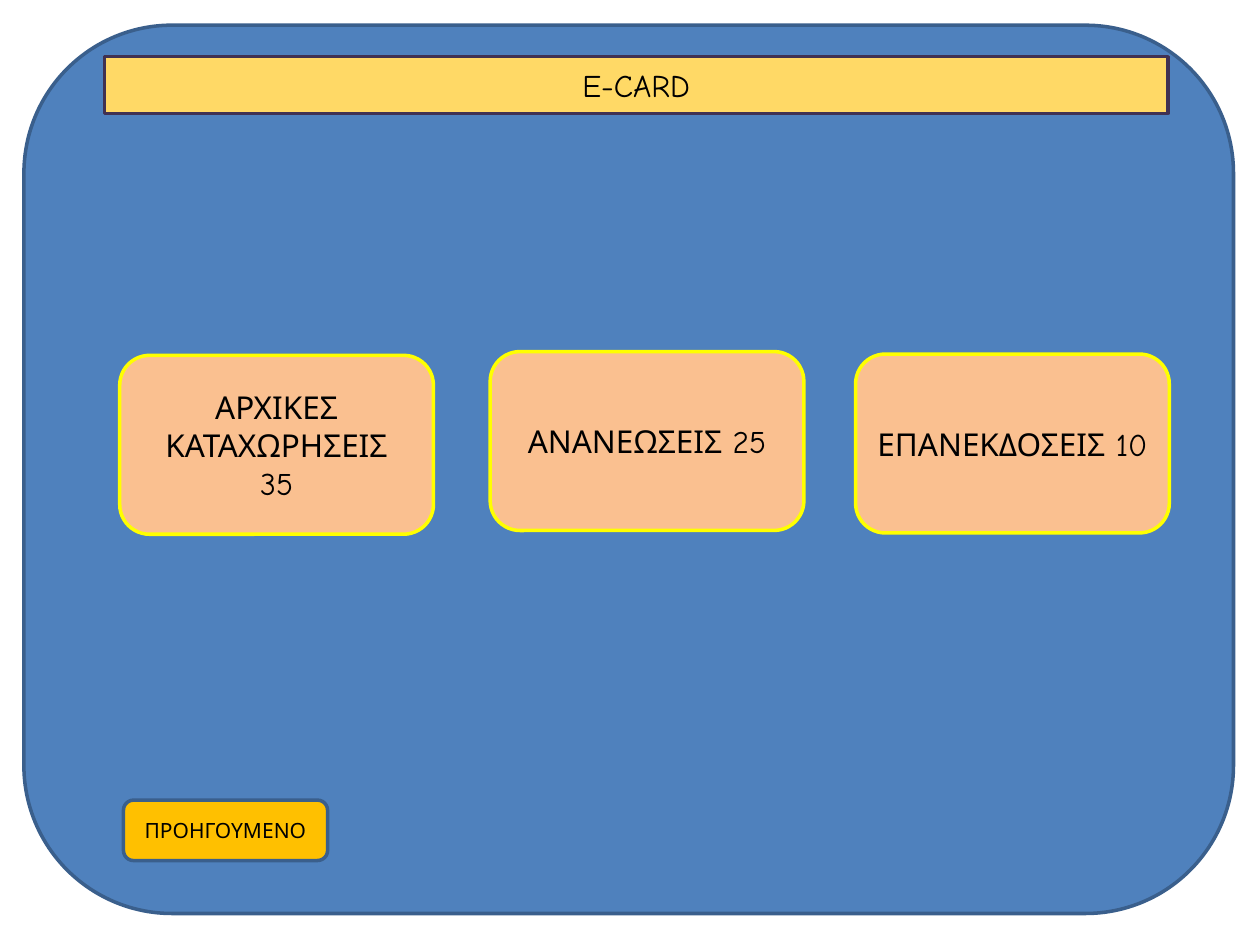
from dataclasses import dataclass

from pptx import Presentation
from pptx.dml.color import RGBColor
from pptx.enum.shapes import MSO_SHAPE
from pptx.enum.text import MSO_ANCHOR, PP_ALIGN
from pptx.shapes.autoshape import Shape
from pptx.slide import Slide
from pptx.util import Inches, Pt


@dataclass(frozen=True)
class Theme:
    font: str = "Comic Neue"
    text: str = "000000"
    panel: str = "4F81BD"
    panel_line: str = "3A5F8C"
    card: str = "FAC090"
    card_line: str = "FFFF00"
    title: str = "FFD966"
    title_line: str = "403152"
    button: str = "FFC000"
    body_size: int = 18
    button_size: int = 12
    line_width: int = 2


@dataclass(frozen=True)
class Box:
    left: float
    top: float
    width: float
    height: float
    fill: str
    line: str
    lines: tuple[str, ...] = ()
    size: int = 18
    kind: MSO_SHAPE = MSO_SHAPE.ROUNDED_RECTANGLE


THEME = Theme()
CARD_WIDTH, CARD_HEIGHT = 2.49, 1.42


def card(left: float, top: float, *lines: str) -> Box:
    return Box(left, top, CARD_WIDTH, CARD_HEIGHT, THEME.card,
               THEME.card_line, lines, THEME.body_size)


BOXES = (
    Box(0.19, 0.2, 9.6, 7.05, THEME.panel, THEME.panel_line),
    card(0.95, 2.82, "ΑΡΧΙΚΕΣ ΚΑΤΑΧΩΡΗΣΕΙΣ", "35"),
    Box(0.83, 0.45, 8.44, 0.45, THEME.title, THEME.title_line,
        ("E-CARD",), THEME.body_size, MSO_SHAPE.RECTANGLE),
    Box(0.98, 6.35, 1.62, 0.48, THEME.button, THEME.panel_line,
        ("ΠΡΟΗΓΟΥΜΕΝΟ",), THEME.button_size),
    card(3.89, 2.79, "ΑΝΑΝΕΩΣΕΙΣ 25"),
    card(6.79, 2.81, "ΕΠΑΝΕΚΔΟΣΕΙΣ 10"),
)


def write_lines(sp: Shape, box: Box) -> None:
    tf = sp.text_frame
    tf.word_wrap = True
    tf.vertical_anchor = MSO_ANCHOR.MIDDLE
    font_format = {"name": THEME.font, "size": Pt(box.size)}
    for i, line in enumerate(box.lines):
        p = tf.add_paragraph() if i else tf.paragraphs[0]
        p.alignment = PP_ALIGN.CENTER
        r = p.add_run()
        r.text = line
        for name, value in font_format.items():
            setattr(r.font, name, value)
        r.font.color.rgb = RGBColor.from_string(THEME.text)


def draw_box(s: Slide, box: Box) -> None:
    frame = map(Inches, (box.left, box.top, box.width, box.height))
    sp = s.shapes.add_shape(box.kind, *frame)
    sp.shadow.inherit = False
    sp.fill.solid()
    sp.fill.fore_color.rgb = RGBColor.from_string(box.fill)
    sp.line.color.rgb = RGBColor.from_string(box.line)
    sp.line.width = Pt(THEME.line_width)
    write_lines(sp, box)


def main() -> None:
    """Build the E-CARD menu slide and save it."""
    prs = Presentation()
    prs.slide_width, prs.slide_height = Inches(10), Inches(7.5)
    s = prs.slides.add_slide(prs.slide_layouts[6])
    for box in BOXES:
        draw_box(s, box)
    prs.save("out.pptx")


if __name__ == "__main__":
    main()
